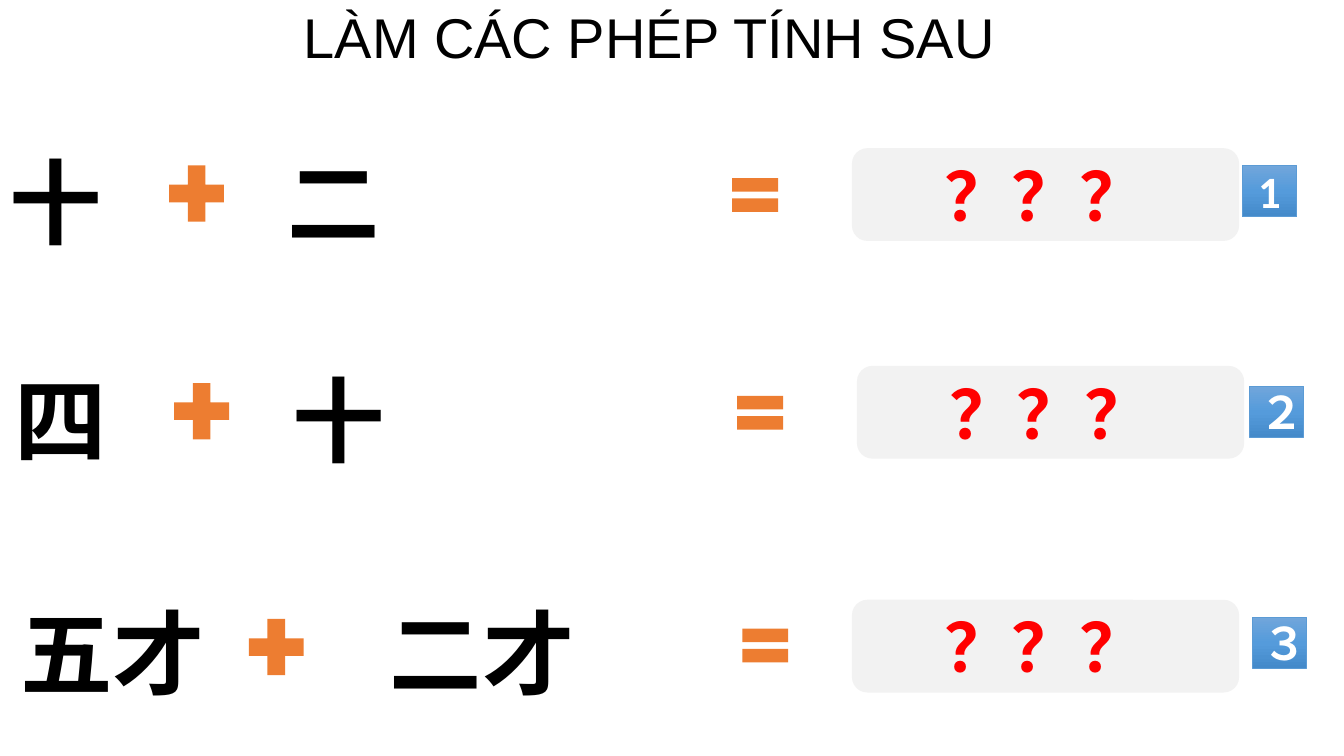
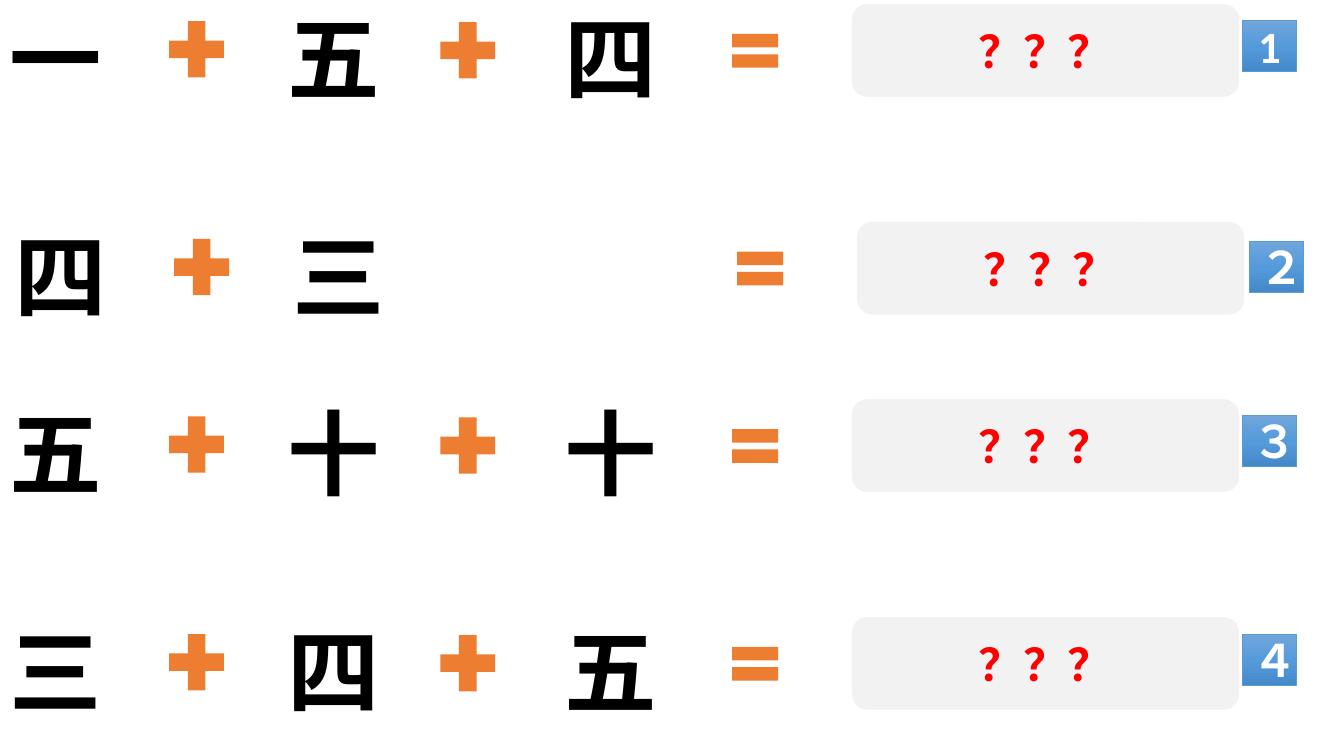
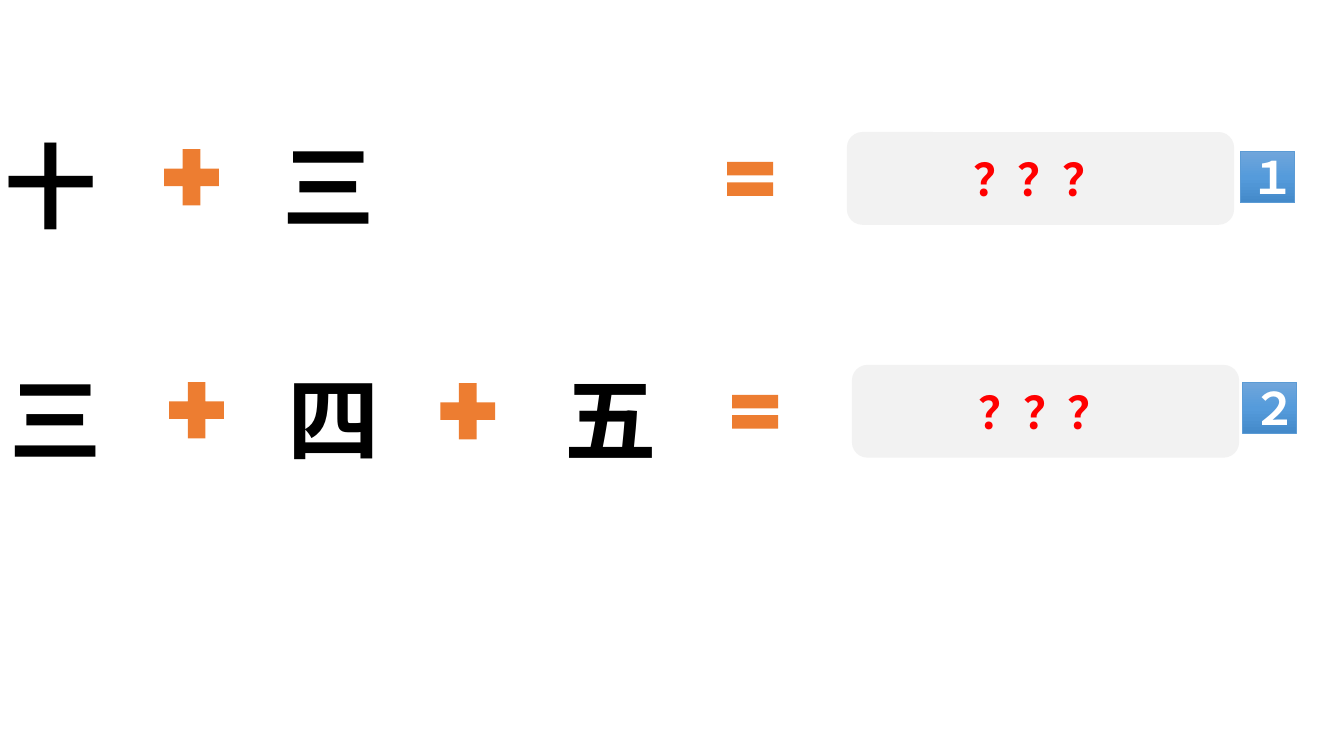
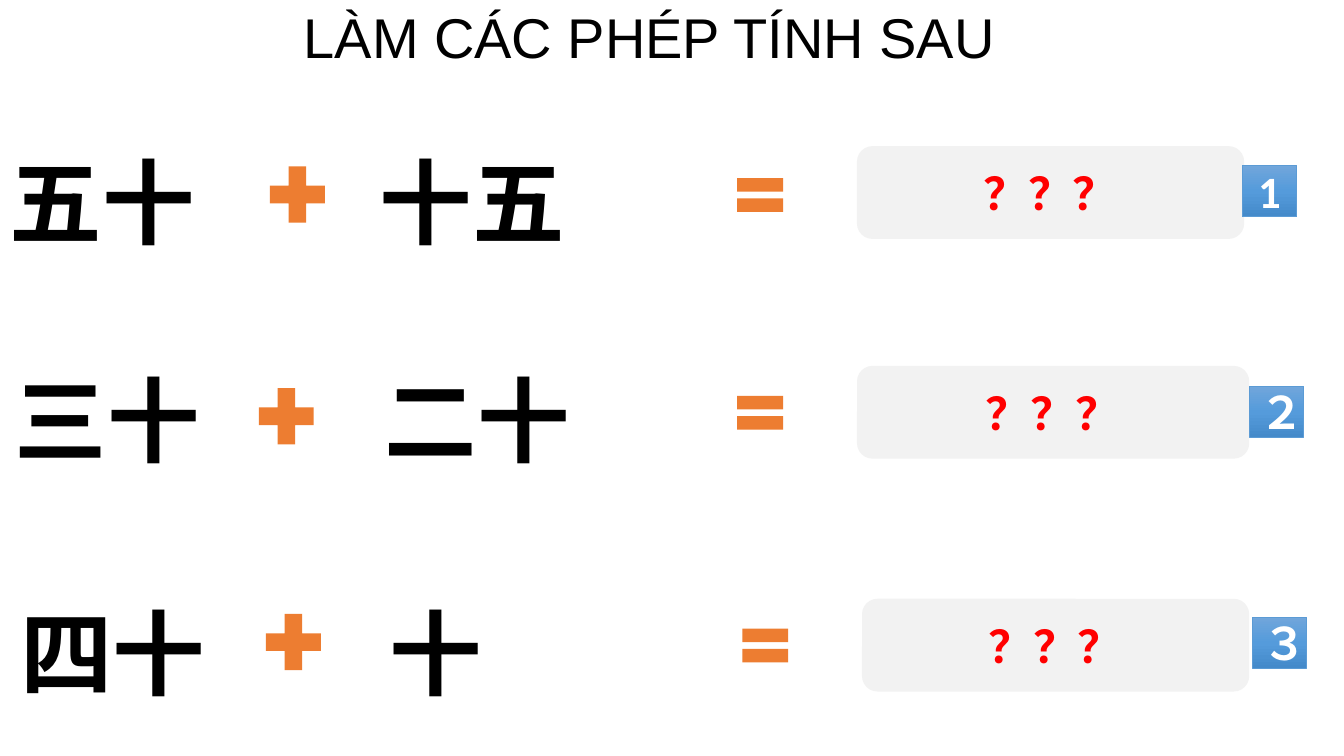
from copy import deepcopy
from dataclasses import dataclass

from lxml.etree import SubElement
from pptx import Presentation
from pptx.dml.color import RGBColor
from pptx.enum.shapes import MSO_SHAPE as Shape
from pptx.enum.text import MSO_ANCHOR as Anchor, MSO_AUTO_SIZE as AutoSize, PP_ALIGN as Align
from pptx.oxml.ns import qn
from pptx.util import Inches, Pt

BLACK = RGBColor(0x00, 0x00, 0x00)
WHITE = RGBColor(0xFF, 0xFF, 0xFF)
RED = RGBColor(0xFF, 0x00, 0x00)
ORANGE = RGBColor(0xED, 0x7D, 0x31)
GREY = RGBColor(0xF2, 0xF2, 0xF2)
BADGE_LINE = RGBColor(0x5B, 0x9B, 0xD5)
BADGE_STOPS = (
    (0, RGBColor(0x71, 0xA6, 0xDB)),
    (0.5, RGBColor(0x55, 0x9B, 0xDB)),
    (1, RGBColor(0x44, 0x8A, 0xCA)),
)
TITLE = "LÀM CÁC PHÉP TÍNH SAU"
TERM_SIZE = 66
TERM_GAP = 2


@dataclass
class Sum:
    """One exercise row, with the places that depart from the usual ones."""

    terms: str
    left: float
    top: float
    number: str
    badge: tuple
    plus: tuple = None
    equal_left: float = None
    answer: tuple = None
    answer_width: float = 3.84


class Deck:
    """Style of the exercise deck and the slide being filled."""

    def __init__(self):
        self.presentation = Presentation()
        self.presentation.slide_width = Inches(13.33)
        self.presentation.slide_height = Inches(7.5)
        self.slide = None

    def add_slide(self, title=None):
        """Start a slide, with a title placeholder when a title is given."""
        layout = self.presentation.slide_layouts[5 if title else 6]
        self.slide = self.presentation.slides.add_slide(layout)
        if title:
            shape = self.slide.shapes.title
            shape.left, shape.top = Inches(1.45), Inches(0)
            shape.width, shape.height = Inches(9.98), Inches(0.71)
            self.set_text(shape, title, 40, BLACK, "Arial", bold=False)

    def set_text(self, shape, text, size, color, font_name="Calibri", bold=True, align=Align.CENTER):
        """Put one formatted paragraph into a shape."""
        frame = shape.text_frame
        frame.word_wrap = True
        frame.auto_size = AutoSize.NONE
        frame.vertical_anchor = Anchor.MIDDLE
        paragraph = frame.paragraphs[0]
        paragraph.text = text
        paragraph.alignment = align
        font = paragraph.font
        font.name, font.size, font.bold = font_name, Pt(size), bold
        font.color.rgb = color

    def add_shape(self, kind, left, top, width, height, fill=None):
        """Add a shadowless, unlined preset shape."""
        shape = self.slide.shapes.add_shape(
            kind, Inches(left), Inches(top), Inches(width), Inches(height))
        shape.shadow.inherit = False
        shape.line.fill.background()
        if fill is not None:
            shape.fill.solid()
            shape.fill.fore_color.rgb = fill
        return shape

    def add_terms(self, terms, left, top):
        """Put the terms on one line, spaced by tab stops."""
        box = self.slide.shapes.add_textbox(
            Inches(left), Inches(top), Inches(10.42), Inches(1.12))
        properties = box.text_frame.paragraphs[0]._p.get_or_add_pPr()
        tabs = SubElement(properties, qn("a:tabLst"))
        characters = 0
        for term in terms[:-1]:
            characters += len(term) + TERM_GAP
            SubElement(tabs, qn("a:tab"), pos=str(Pt(characters * TERM_SIZE)), algn="l")
        self.set_text(box, "\t".join(terms), TERM_SIZE, BLACK, "Arial", align=Align.LEFT)

    def add_plus(self, left, top):
        """Add a plus sign."""
        self.add_shape(Shape.MATH_PLUS, left, top, 0.74, 0.76, ORANGE)

    def add_equal(self, left, top):
        """Add an equals sign."""
        self.add_shape(Shape.MATH_EQUAL, left, top, 0.62, 0.57, ORANGE)

    def add_answer(self, left, top, width, size):
        """Add the panel that hides the answer."""
        panel = self.add_shape(Shape.ROUNDED_RECTANGLE, left, top, width, 0.92, GREY)
        self.set_text(panel, "？？？", size, RED)

    def add_badge(self, number, left, top):
        """Add the gradient square with the row number."""
        badge = self.add_shape(Shape.RECTANGLE, left, top, 0.54, 0.51)
        badge.line.color.rgb = BADGE_LINE
        badge.line.width = Pt(0.5)
        badge.fill.gradient()
        badge.fill.gradient_angle = 270
        first = badge._element.spPr.find(qn("a:gradFill")).find(qn("a:gsLst"))[0]
        first.addnext(deepcopy(first))
        for stop, (position, color) in zip(badge.fill.gradient_stops, BADGE_STOPS):
            stop.position = position
            stop.color.rgb = color
        self.set_text(badge, number, 32, WHITE)

    def add_sum(self, row, answer_size):
        """Add a whole exercise row."""
        terms = row.terms.split()
        self.add_terms(terms, row.left, row.top)
        self.add_plus(*(row.plus or (row.left + 1.58, row.top + 0.11)))
        if len(terms) == 3:
            self.add_plus(row.left + 4.27, row.top + 0.12)
        self.add_equal(row.equal_left or row.left + 7.18, row.top + 0.22)
        answer = row.answer or (row.left + 8.45, row.top + 0.04)
        self.add_answer(*answer, row.answer_width, answer_size)
        self.add_badge(row.number, *row.badge)


SLIDES = (
    (TITLE, 48, (
        Sum("十 二", 0, 1.43, "1", (12.32, 1.64)),
        Sum("四 十", 0.05, 3.59, "２", (12.39, 3.83)),
        Sum("五才 二才", 0.1, 5.9, "３", (12.42, 6.12), plus=(2.37, 6.04), answer=(8.45, 5.95)),
    )),
    (None, 32, (
        Sum("一 五 四", 0, 0, "1", (12.32, 0.2)),
        Sum("四 三", 0.05, 2.16, "２", (12.39, 2.39)),
        Sum("五 十 十", 0, 3.92, "３", (12.32, 4.12)),
        Sum("三 四 五", 0, 6.08, "４", (12.32, 6.29)),
    )),
    (None, 32, (
        Sum("十 三", -0.05, 1.27, "１", (12.3, 1.5)),
        Sum("三 四 五", 0, 3.58, "２", (12.32, 3.79)),
    )),
    (TITLE, 32, (
        Sum("五十 十五", 0, 1.43, "1", (12.32, 1.64), plus=(2.58, 1.55),
            equal_left=7.23, answer=(8.5, 1.45)),
        Sum("三十 二十", 0.05, 3.59, "２", (12.39, 3.83), plus=(2.47, 3.75), answer_width=3.89),
        Sum("四十 十", 0.1, 5.9, "３", (12.42, 6.12), plus=(2.54, 5.99)),
    )),
)


def main():
    """Build and save the deck."""
    deck = Deck()
    for title, answer_size, rows in SLIDES:
        deck.add_slide(title)
        for row in rows:
            deck.add_sum(row, answer_size)
    deck.presentation.save("out.pptx")


if __name__ == "__main__":
    main()
